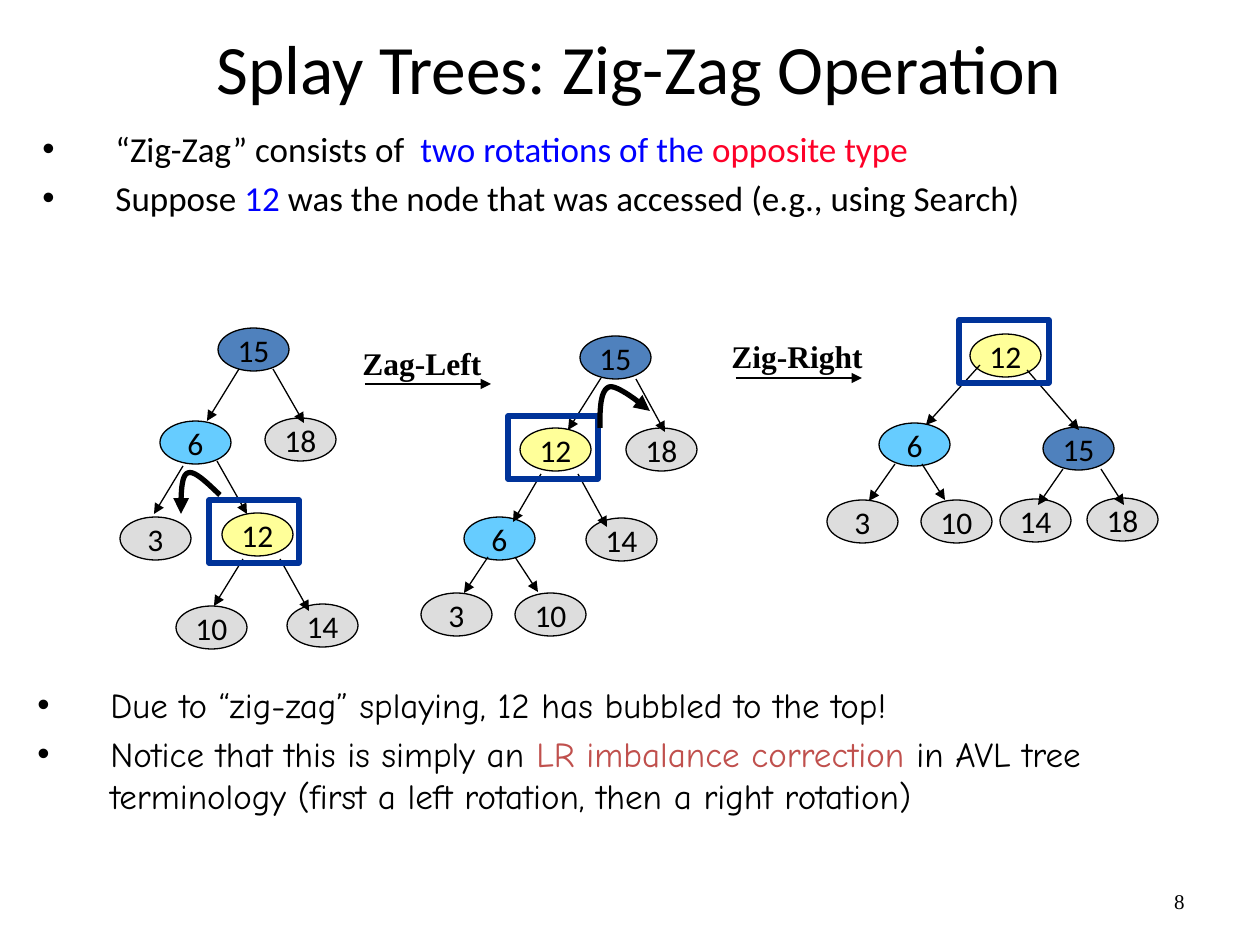
from dataclasses import dataclass

from lxml import etree
from pptx import Presentation
from pptx.dml.color import RGBColor
from pptx.enum.shapes import MSO_CONNECTOR, MSO_SHAPE
from pptx.enum.text import MSO_ANCHOR, MSO_AUTO_SIZE, PP_ALIGN
from pptx.oxml.ns import qn
from pptx.util import Emu, Pt

ELLIPSE, RECTANGLE = MSO_SHAPE.OVAL, MSO_SHAPE.RECTANGLE
STRAIGHT = MSO_CONNECTOR.STRAIGHT
TOP, MIDDLE = MSO_ANCHOR.TOP, MSO_ANCHOR.MIDDLE
LEFT, CENTER, RIGHT = PP_ALIGN.LEFT, PP_ALIGN.CENTER, PP_ALIGN.RIGHT
NO_AUTOSIZE = MSO_AUTO_SIZE.NONE
EMU_PER_PX = 914400 / 126
NODE_WIDTH, NODE_HEIGHT = 71, 43
FOCUS_WIDTH, FOCUS_HEIGHT = 90, 63
BULLET_INDENT = 73
CURVE_STEPS = 12


@dataclass(frozen=True)
class Theme:
    black: str = "000000"
    blue: str = "0000FF"
    red: str = "FD0128"
    brick: str = "C0504D"
    navy: str = "003399"
    root: str = "4F81BD"
    parent: str = "66CCFF"
    leaf: str = "DDDDDD"
    accessed: str = "FFFF99"
    sans: str = "Calibri"
    hand: str = "Comic Neue"
    serif: str = "Times New Roman"
    title_size: float = 39.6
    body_size: float = 20
    label_size: float = 18
    number_size: float = 12
    thin: float = 0.75
    thick: float = 3


THEME = Theme()
NODE_FILLS = {"15": THEME.root, "6": THEME.parent, "12": THEME.accessed}


@dataclass(frozen=True)
class Span:
    text: str
    color: str = THEME.black


@dataclass(frozen=True)
class Node:
    label: str
    left: int
    top: int


@dataclass(frozen=True)
class Edge:
    x1: int
    y1: int
    x2: int
    y2: int


@dataclass(frozen=True)
class Tree:
    nodes: tuple[Node, ...]
    edges: tuple[Edge, ...]
    focus: tuple[int, int]
    rotation: tuple[tuple[int, int], ...] = ()


@dataclass(frozen=True)
class Step:
    label: str
    left: int
    top: int
    width: int
    arrow: Edge


TREES = (
    Tree(
        (Node("15", 218, 328), Node("6", 160, 421), Node("18", 265, 418), Node("3", 120, 517),
         Node("12", 222, 513), Node("10", 176, 606), Node("14", 287, 604)),
        (Edge(239, 369, 207, 421), Edge(273, 369, 304, 423), Edge(217, 461, 247, 514),
         Edge(183, 466, 154, 514), Edge(243, 559, 214, 606), Edge(280, 559, 309, 611)),
        (209, 500),
        ((220, 495), (215, 491), (195, 469), (188, 473), (181, 475), (181, 495), (181, 514)),
    ),
    Tree(
        (Node("15", 580, 336), Node("6", 464, 517), Node("18", 626, 428), Node("3", 421, 593),
         Node("12", 520, 428), Node("10", 515, 593), Node("14", 586, 518)),
        (Edge(601, 378, 568, 430), Edge(636, 379, 665, 432), Edge(515, 557, 538, 592),
         Edge(488, 557, 464, 593), Edge(541, 474, 513, 522), Edge(578, 474, 607, 527)),
        (508, 416),
        ((600, 428), (600, 410), (600, 391), (609, 387), (617, 384), (644, 406), (650, 411)),
    ),
    Tree(
        (Node("15", 1043, 427), Node("6", 879, 423), Node("18", 1087, 498), Node("3", 827, 500),
         Node("12", 970, 334), Node("10", 921, 500), Node("14", 1000, 499)),
        (Edge(922, 464, 945, 500), Edge(895, 464, 869, 501), Edge(980, 365, 926, 425),
         Edge(1027, 370, 1079, 430), Edge(1063, 469, 1038, 505), Edge(1101, 469, 1124, 505)),
        (959, 320),
    ),
)
STEPS = (
    Step("Zag-Left", 350, 338, 145, Edge(365, 384, 491, 384)),
    Step("Zig-Right", 719, 331, 156, Edge(736, 378, 862, 378)),
)
INTRO = (
    (Span("“Zig-Zag” consists of  "), Span("two rotations of the ", THEME.blue),
     Span("opposite type", THEME.red)),
    (Span("Suppose "), Span("12 ", THEME.blue),
     Span("was the node that was accessed (e.g., using Search)")),
)
CONCLUSION = (
    (Span("Due to “zig-zag” splaying, 12 has bubbled to the top!"),),
    (Span("Notice that this is simply an "), Span("LR imbalance correction", THEME.brick),
     Span(" in AVL tree terminology (first a left rotation, then a right rotation)")),
)


def px(length: float) -> Emu:
    return Emu(round(length * EMU_PER_PX))


def add_bullet(para) -> None:
    properties = para._p.get_or_add_pPr()
    properties.set("marL", str(px(BULLET_INDENT)))
    properties.set("indent", str(-px(BULLET_INDENT)))
    etree.SubElement(properties, qn("a:buFont")).set("typeface", "Arial")
    etree.SubElement(properties, qn("a:buChar")).set("char", "•")


def write_text(frame, paragraphs, *, size: float, face: str = THEME.sans, align=LEFT,
               anchor=TOP, bold: bool = False, wrap: bool = True, bullets: bool = False) -> None:
    frame.word_wrap = wrap
    frame.auto_size = NO_AUTOSIZE
    frame.vertical_anchor = anchor
    for index, spans in enumerate(paragraphs):
        para = frame.add_paragraph() if index else frame.paragraphs[0]
        if bullets:
            add_bullet(para)
        para.alignment = align
        if index:
            para.space_before = Pt(size * 0.2)
        for span in spans:
            run = para.add_run()
            run.text = span.text
            run.font.size = Pt(size)
            run.font.name = face
            run.font.bold = bold
            run.font.color.rgb = RGBColor.from_string(span.color)


def add_text(page, left: int, top: int, width: int, height: int, paragraphs, **text_format) -> None:
    box = page.shapes.add_textbox(px(left), px(top), px(width), px(height))
    write_text(box.text_frame, paragraphs, **text_format)


def style_line(line, color: str, width: float, arrow: bool = False) -> None:
    line.color.rgb = RGBColor.from_string(color)
    line.width = Pt(width)
    if arrow:
        etree.SubElement(line._get_or_add_ln(), qn("a:tailEnd")).set("type", "triangle")


def add_node(page, node: Node) -> None:
    oval = page.shapes.add_shape(ELLIPSE, px(node.left), px(node.top), px(NODE_WIDTH), px(NODE_HEIGHT))
    oval.shadow.inherit = False
    oval.fill.solid()
    oval.fill.fore_color.rgb = RGBColor.from_string(NODE_FILLS.get(node.label, THEME.leaf))
    style_line(oval.line, THEME.black, THEME.thin)
    write_text(oval.text_frame, ((Span(node.label),),), size=THEME.label_size,
               align=CENTER, anchor=MIDDLE, wrap=False)


def add_arrow(page, edge: Edge) -> None:
    arrow = page.shapes.add_connector(STRAIGHT, px(edge.x1), px(edge.y1), px(edge.x2), px(edge.y2))
    style_line(arrow.line, THEME.black, THEME.thin, arrow=True)
    etree.SubElement(arrow._element.spPr, qn("a:effectLst"))


def add_focus(page, left: int, top: int) -> None:
    frame = page.shapes.add_shape(RECTANGLE, px(left), px(top), px(FOCUS_WIDTH), px(FOCUS_HEIGHT))
    frame.shadow.inherit = False
    frame.fill.background()
    style_line(frame.line, THEME.navy, THEME.thick)


def curve_point(controls, t: float) -> tuple[Emu, Emu]:
    weights = ((1 - t) ** 3, 3 * t * (1 - t) ** 2, 3 * t ** 2 * (1 - t), t ** 3)
    x, y = (sum(w * point[axis] for w, point in zip(weights, controls)) for axis in (0, 1))
    return px(x), px(y)


def add_rotation(page, controls) -> None:
    points = [curve_point(controls[start:start + 4], step / CURVE_STEPS)
              for start in (0, 3) for step in range(1, CURVE_STEPS + 1)]
    builder = page.shapes.build_freeform(*curve_point(controls[:4], 0))
    builder.add_line_segments(points, close=False)
    curve = builder.convert_to_shape()
    curve.shadow.inherit = False
    curve.fill.background()
    style_line(curve.line, THEME.black, THEME.thick, arrow=True)


def add_tree(page, tree: Tree) -> None:
    for node in tree.nodes:
        add_node(page, node)
    for edge in tree.edges:
        add_arrow(page, edge)
    add_focus(page, *tree.focus)
    if tree.rotation:
        add_rotation(page, tree.rotation)


def main() -> None:
    deck = Presentation()
    deck.slide_width, deck.slide_height = px(1260), px(945)
    page = deck.slides.add_slide(deck.slide_layouts[6])
    add_text(page, 903, 876, 294, 50, ((Span("8"),),), size=THEME.number_size,
             face=THEME.serif, align=RIGHT, anchor=MIDDLE)
    add_text(page, 38, 19, 1202, 96, ((Span("Splay Trees: Zig-Zag Operation"),),),
             size=THEME.title_size, align=CENTER, anchor=MIDDLE)
    add_text(page, 30, 121, 1181, 150, INTRO, size=THEME.body_size, bullets=True)
    add_text(page, 25, 677, 1192, 186, CONCLUSION, size=THEME.body_size,
             face=THEME.hand, bullets=True)
    for tree in TREES:
        add_tree(page, tree)
    for step in STEPS:
        add_arrow(page, step.arrow)
        add_text(page, step.left, step.top, step.width, 50, ((Span(step.label),),),
                 size=THEME.label_size, face=THEME.serif, bold=True, wrap=False)
    deck.save("out.pptx")


if __name__ == "__main__":
    main()
